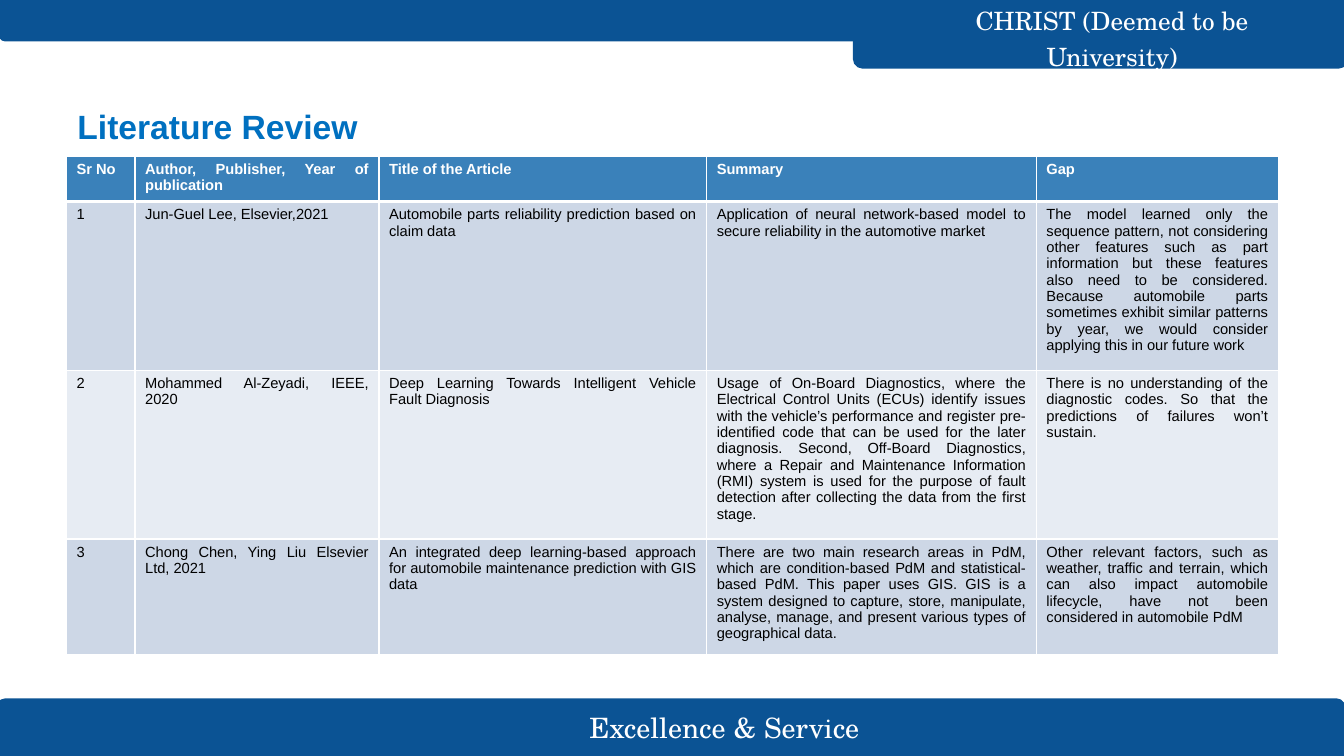
import pptx
import pptx.util
import pptx.dml.color
import pptx.enum.shapes
import pptx.enum.text
import pptx.oxml
import pptx.oxml.ns

Inches, Pt = pptx.util.Inches, pptx.util.Pt
ALIGN, ANCHOR = pptx.enum.text.PP_ALIGN, pptx.enum.text.MSO_ANCHOR
WIDTH, HEIGHT = 13.33, 7.5
COLORS = {"band": "0B5394", "title": "0070C0", "header": "3A81BA", "odd": "CDD7E6",
          "even": "E7ECF3", "white": "FFFFFF", "black": "000000"}


def rgb(name):
    return pptx.dml.color.RGBColor.from_string(COLORS[name])


def add_label(text, left, top, width, height, anchor, align, font, size, color):
    box = slide.shapes.add_textbox(Inches(left), Inches(top), Inches(width), Inches(height))
    frame = box.text_frame
    frame.word_wrap = True
    frame.vertical_anchor = anchor
    frame.margin_left = frame.margin_right = frame.margin_top = frame.margin_bottom = Inches(0.1)
    para = frame.paragraphs[0]
    para.text = text
    para.alignment = align
    para.font.name, para.font.size = font, Pt(size)
    para.font.color.rgb = rgb(color)
    return para


deck = pptx.Presentation()
deck.slide_width, deck.slide_height = Inches(WIDTH), Inches(HEIGHT)
slide = deck.slides.add_slide(deck.slide_layouts[6])

# Footer band, header band and header tab
bands = [(-0.02, HEIGHT - 0.56, 13.35, 0.56, 0),
         (0, 0, 13.35, 0.4, 180),
         (8.47, 0, 4.89, 0.67, 180)]
for left, top, width, height, rotation in bands:
    band = slide.shapes.add_shape(pptx.enum.shapes.MSO_SHAPE.ROUND_2_SAME_RECTANGLE,
                                  Inches(left), Inches(top), Inches(width), Inches(height))
    band.adjustments[0], band.adjustments[1] = 0.125, 0
    band.rotation = rotation
    band.shadow.inherit = False
    band.fill.solid()
    band.fill.fore_color.rgb = band.line.color.rgb = rgb("band")
    band.line.width = Pt(1.5)

# Band texts and title
add_label("Excellence & Service", 4.3, 7.06, 5.77, 0.32,
          ANCHOR.MIDDLE, ALIGN.CENTER, "TeX Gyre Schola", 20, "white")
university = add_label("CHRIST (Deemed to be University)", 8.95, 0.15, 4.16, 0.4,
                       ANCHOR.MIDDLE, ALIGN.CENTER, "TeX Gyre Schola", 18, "white")
university.line_spacing = 1.2
title = add_label("Literature Review", 0.67, 0.67, 12, 0.88,
                  ANCHOR.BOTTOM, ALIGN.LEFT, "Arial", 24, "title")
title.font.bold = True

# Literature table
papers = [
    ("Sr No", "Author, Publisher, Year of publication", "Title of the Article", "Summary", "Gap"),
    ("1", "Jun-Guel Lee, Elsevier,2021",
     "Automobile parts reliability prediction based on claim data",
     "Application of neural network-based model to secure reliability in the automotive market",
     "The model learned only the sequence pattern, not considering other features such as part "
     "information but these features also need to be considered. Because automobile parts "
     "sometimes exhibit similar patterns by year, we would consider applying this in our future "
     "work"),
    ("2", "Mohammed Al-Zeyadi, IEEE, 2020",
     "Deep Learning Towards Intelligent Vehicle Fault Diagnosis",
     "Usage of On-Board Diagnostics, where the Electrical Control Units (ECUs) identify issues "
     "with the vehicle’s performance and register pre-identified code that can be used for the "
     "later diagnosis. Second, Off-Board Diagnostics, where a Repair and Maintenance Information "
     "(RMI) system is used for the purpose of fault detection after collecting the data from the "
     "first stage.",
     "There is no understanding of the diagnostic codes. So that the predictions of failures "
     "won’t sustain."),
    ("3", "Chong Chen, Ying Liu Elsevier Ltd, 2021",
     "An integrated deep learning-based approach for automobile maintenance prediction with GIS "
     "data",
     "There are two main research areas in PdM, which are condition-based PdM and "
     "statistical-based PdM. This paper uses GIS. GIS is a system designed to capture, store, "
     "manipulate, analyse, manage, and present various types of geographical data.",
     "Other relevant factors, such as weather, traffic and terrain, which can also impact "
     "automobile lifecycle, have not been considered in automobile PdM"),
]
column_widths = [0.68, 2.42, 3.25, 3.27, 2.4]
row_heights = [0.43, 1.56, 1.56, 1.07]
table = slide.shapes.add_table(len(row_heights), len(column_widths), Inches(0.66), Inches(1.55),
                               Inches(sum(column_widths)), Inches(sum(row_heights))).table
for column, width in zip(table.columns, column_widths):
    column.width = Inches(width)
for row, height in zip(table.rows, row_heights):
    row.height = Inches(height)

for row_index, paper in enumerate(papers):
    is_header = row_index == 0
    fill = "header" if is_header else "odd" if row_index % 2 else "even"
    # The rule below the header is three points, all others one
    border_points = {"L": 1, "R": 1, "T": 3 if row_index == 1 else 1, "B": 3 if is_header else 1}
    for column_index, text in enumerate(paper):
        cell = table.cell(row_index, column_index)
        properties = cell._tc.get_or_add_tcPr()
        for side, points in border_points.items():
            properties.append(pptx.oxml.parse_xml(
                f'<a:ln{side} {pptx.oxml.ns.nsdecls("a")} w="{Pt(points)}"><a:solidFill>'
                f'<a:srgbClr val="{COLORS["white"]}"/></a:solidFill></a:ln{side}>'))
        cell.fill.solid()
        cell.fill.fore_color.rgb = rgb(fill)
        para = cell.text_frame.paragraphs[0]
        para.text = text
        para.alignment = ALIGN.JUSTIFY
        para.font.name, para.font.size = "Arial", Pt(10.5)
        para.font.bold = is_header
        para.font.color.rgb = rgb("white" if is_header else "black")

deck.save("out.pptx")
